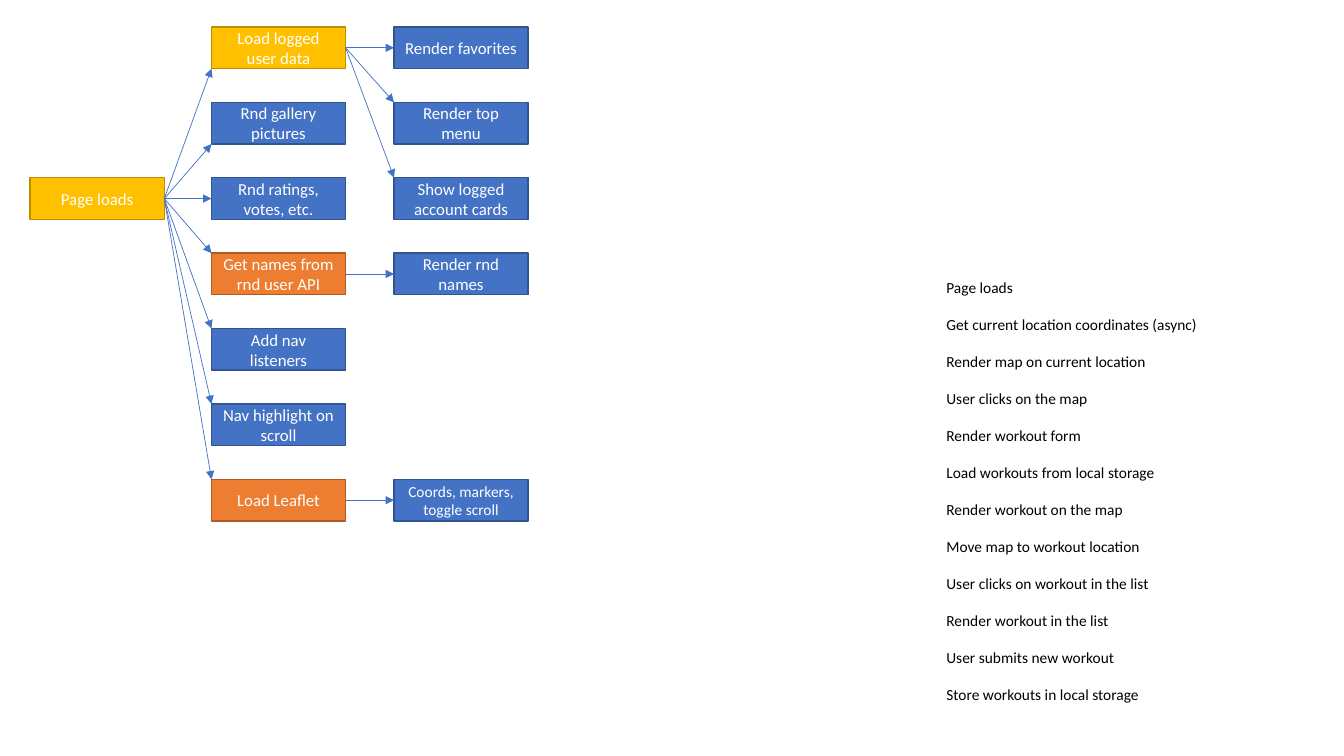
"""Build a slide with a page-load flowchart and a list of workout-map steps."""
from pptx import Presentation
from pptx import util as u
from pptx.dml import color
from pptx.enum import shapes, text
from pptx.oxml import parse_xml
from pptx.oxml import ns

COLOURS = {
    "trigger": "FFC000", "trigger_edge": "BD8E00",
    "request": "ED7D31", "request_edge": "AF5C24",
    "render": "4472C4", "render_edge": "325491",
    "arrow": "4472C4", "light": "FFFFFF", "dark": "000000",
}
COLUMN_LEFTS = (0.76, 5.33, 9.93)
TOP, ROW_PITCH = 0.68, 1.9
BOX_WIDTH, BOX_HEIGHT = 3.38, 1.05

NODES = {
    "Page loads": (0, 2, "trigger", 12),
    "Load logged user data": (1, 0, "trigger", 12),
    "Rnd gallery pictures": (1, 1, "render", 12),
    "Rnd ratings, votes, etc.": (1, 2, "render", 12),
    "Get names from rnd user API": (1, 3, "request", 12),
    "Add nav listeners": (1, 4, "render", 12),
    "Nav highlight on scroll": (1, 5, "render", 12),
    "Load Leaflet": (1, 6, "request", 12),
    "Render favorites": (2, 0, "render", 12),
    "Render top menu": (2, 1, "render", 12),
    "Show logged account cards": (2, 2, "render", 12),
    "Render rnd names": (2, 3, "render", 12),
    "Coords, markers, toggle scroll": (2, 6, "render", 11),
}
FLOWS = {
    "Page loads": [name for name, node in NODES.items() if node[0] == 1],
    "Load logged user data": ["Render favorites", "Render top menu",
                              "Show logged account cards"],
    "Get names from rnd user API": ["Render rnd names"],
    "Load Leaflet": ["Coords, markers, toggle scroll"],
}
STEPS = (
    "Page loads",
    "Get current location coordinates (async)",
    "Render map on current location",
    "User clicks on the map",
    "Render workout form",
    "Load workouts from local storage",
    "Render workout on the map",
    "Move map to workout location",
    "User clicks on workout in the list",
    "Render workout in the list",
    "User submits new workout",
    "Store workouts in local storage",
)


def rgb(name):
    """Return the named colour."""
    return color.RGBColor.from_string(COLOURS[name])


def apply(target, values):
    """Set every format value on the target."""
    for name, value in values.items():
        setattr(target, name, value)


def write(para, words, size, colour):
    """Add one formatted span to a paragraph."""
    span = para.add_run()
    span.text = words
    apply(span.font, {"name": "Calibri", "size": u.Pt(size)})
    span.font.color.rgb = rgb(colour)


def add_node(page, words, column, row, role, size):
    """Add a flowchart box at a grid position."""
    box = page.shapes.add_shape(
        shapes.MSO_SHAPE.RECTANGLE,
        u.Cm(COLUMN_LEFTS[column]), u.Cm(TOP + row * ROW_PITCH),
        u.Cm(BOX_WIDTH), u.Cm(BOX_HEIGHT))
    box.shadow.inherit = False
    box.fill.solid()
    box.fill.fore_color.rgb = rgb(role)
    box.line.color.rgb = rgb(role + "_edge")
    box.line.width = u.Pt(1)
    apply(box.text_frame, {"word_wrap": True,
                           "vertical_anchor": text.MSO_ANCHOR.MIDDLE})
    para = box.text_frame.paragraphs[0]
    para.alignment = text.PP_ALIGN.CENTER
    write(para, words, size, "light")
    return box


def add_arrow(page, start, end):
    """Link the right side of one box to the nearest left point of another."""
    if end.top < start.top:
        arrival = end.top + end.height
    elif end.top > start.top:
        arrival = end.top
    else:
        arrival = end.top + end.height // 2
    arrow = page.shapes.add_connector(
        shapes.MSO_CONNECTOR.STRAIGHT, start.left + start.width,
        start.top + start.height // 2, end.left, arrival)
    arrow.begin_connect(start, 3)
    if end.top == start.top:
        arrow.end_connect(end, 1)
    arrow.line.color.rgb = rgb("arrow")
    arrow.line.width = u.Pt(0.5)
    namespace = ns.nsdecls("a")
    arrow.line._get_or_add_ln().append(
        parse_xml(f'<a:tailEnd {namespace} type="triangle"/>'))
    arrow._element.spPr.append(parse_xml(f"<a:effectLst {namespace}/>"))


def add_steps(page):
    """Add the list of steps as evenly spaced paragraphs."""
    box = page.shapes.add_textbox(u.Cm(23.6), u.Cm(6.88), u.Cm(10.85), u.Cm(11.07))
    frame = box.text_frame
    apply(frame, {"word_wrap": True,
                  "auto_size": text.MSO_AUTO_SIZE.SHAPE_TO_FIT_TEXT})
    for index, step in enumerate(STEPS):
        para = frame.add_paragraph() if index else frame.paragraphs[0]
        para.space_before = u.Pt(13.2 if index else 0)
        write(para, step, 11, "dark")


def main():
    """Build and save the deck."""
    deck = Presentation()
    apply(deck, {"slide_width": u.Cm(33.87), "slide_height": u.Cm(19.05)})
    page = deck.slides.add_slide(deck.slide_layouts[6])
    add_steps(page)
    boxes = {name: add_node(page, name, *node) for name, node in NODES.items()}
    for start, ends in FLOWS.items():
        for end in ends:
            add_arrow(page, boxes[start], boxes[end])
    deck.save("out.pptx")


main()
